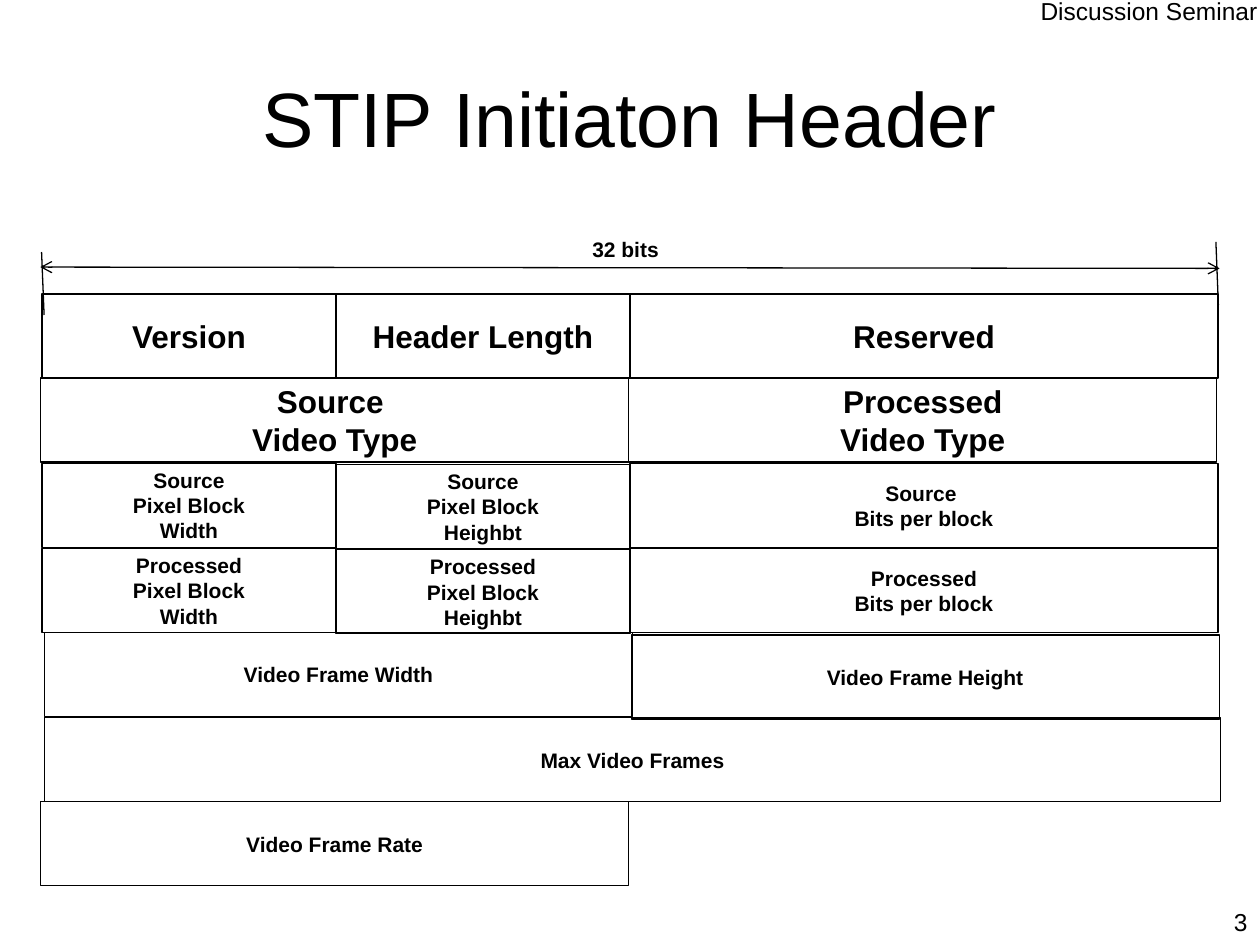
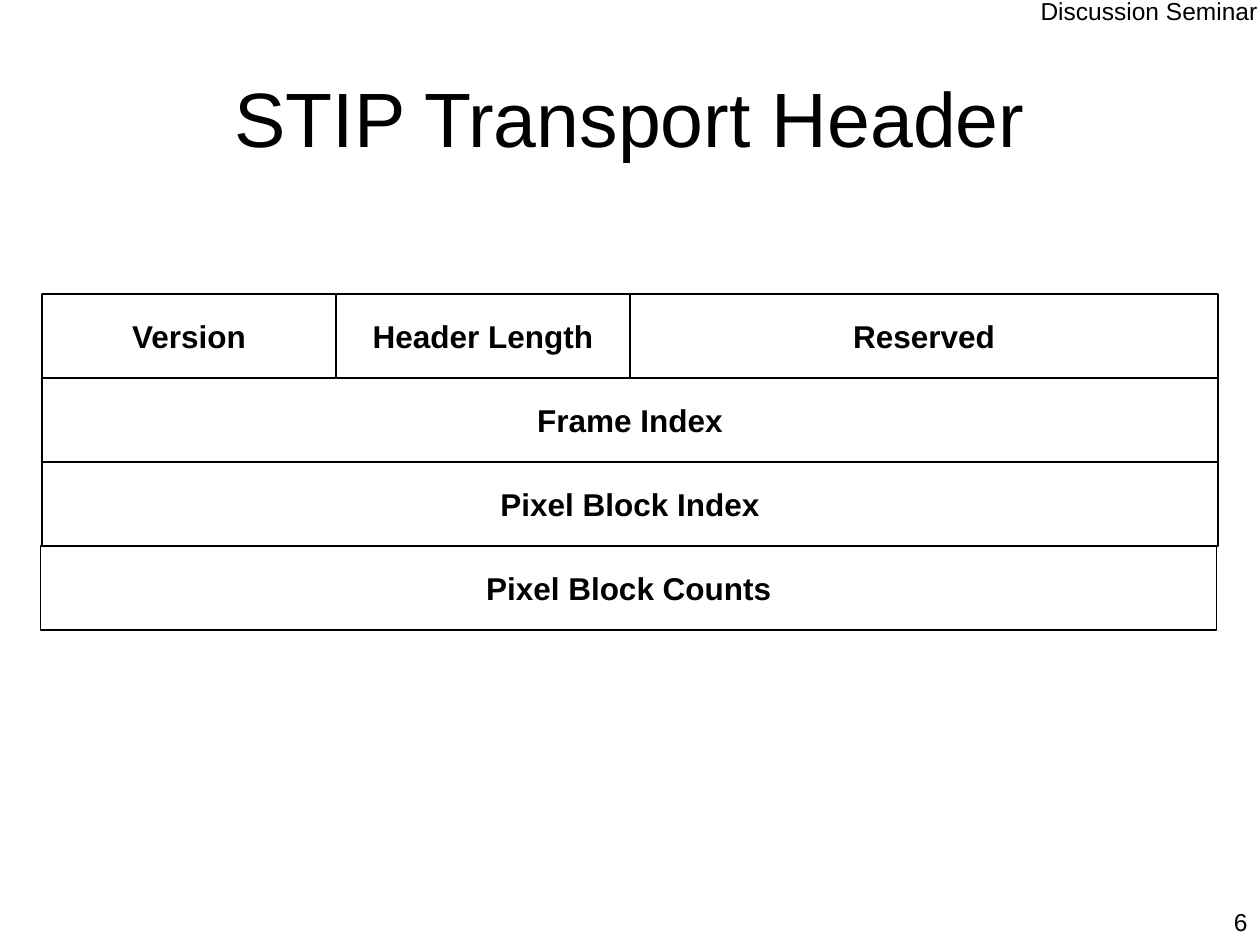
"""Build two slides that chart the STIP packet headers as bit fields."""
from lxml.etree import SubElement
from pptx import Presentation
from pptx.dml.color import RGBColor
from pptx.enum.shapes import MSO_CONNECTOR as Link, MSO_SHAPE as Shape
from pptx.enum.text import MSO_ANCHOR as Anchor, MSO_AUTO_SIZE as Fit, PP_ALIGN as Align
from pptx.oxml.ns import qn
from pptx.util import Inches, Pt

BLACK = RGBColor(0, 0, 0)
WHITE = RGBColor(255, 255, 255)
FONT = "Arial"
STROKE = Pt(0.74)
LEFT, TOP = 1 / 3, 7 / 3
BYTE, ROW = 7 / 3, 2 / 3


class Deck:
    """Hold the shared style and the current slide."""

    def __init__(self):
        self.prs = Presentation()
        self.prs.slide_width, self.prs.slide_height = Inches(10), Inches(7.5)
        self.slide = None

    def style(self, frame, size, align=Align.CENTER, bold=False):
        for para in frame.paragraphs:
            para.alignment = align
            for run in para.runs:
                font = run.font
                font.name, font.size, font.bold = FONT, Pt(size), bold
                font.color.rgb = BLACK

    def page(self, title, number):
        self.slide = self.prs.slides.add_slide(self.prs.slide_layouts[5])
        fill = self.slide.background.fill
        fill.solid()
        fill.fore_color.rgb = WHITE
        self.label("Discussion Seminar", (6.83, -0.08, 3.25, 0.34), 14, Align.RIGHT)
        head = self.slide.shapes.title
        head.left, head.top = Inches(0.5), Inches(0.3)
        head.width, head.height = Inches(9), Inches(1.25)
        head.text_frame.text = title
        head.text_frame.vertical_anchor = Anchor.MIDDLE
        self.style(head.text_frame, 44)
        self.label(str(number), (7.67, 7.15, 2.33, 0.52), 14, Align.RIGHT)

    def label(self, text, box, size, align, bold=False, wrap=True):
        frame = self.slide.shapes.add_textbox(*map(Inches, box)).text_frame
        frame.text = text
        frame.word_wrap = wrap
        frame.auto_size = Fit.NONE
        self.style(frame, size, align, bold)

    def field(self, text, row, col, span, size=18, dx=0, dy=0):
        box = (LEFT + col * BYTE + dx, TOP + row * ROW + dy, span * BYTE, ROW)
        rect = self.slide.shapes.add_shape(Shape.RECTANGLE, *map(Inches, box))
        rect.shadow.inherit = False
        rect.fill.background()
        rect.line.color.rgb, rect.line.width = BLACK, STROKE
        frame = rect.text_frame
        frame.text = text
        frame.word_wrap = False
        frame.vertical_anchor = Anchor.MIDDLE
        self.style(frame, size, bold=True)

    def line(self, start, end, arrows=False):
        rule = self.slide.shapes.add_connector(
            Link.STRAIGHT, *map(Inches, (*start, *end)))
        rule.line.color.rgb, rule.line.width = BLACK, STROKE
        if arrows:
            stroke = rule.line._get_or_add_ln()
            for tip in ("a:headEnd", "a:tailEnd"):
                SubElement(stroke, qn(tip), type="arrow")
        SubElement(rule._element.spPr, qn("a:effectLst"))

    def lead(self):
        self.field("Version", 0, 0, 1)
        self.field("Header Length", 0, 1, 1)
        self.field("Reserved", 0, 2, 2)


def start(deck):
    deck.page("STIP Initiaton Header", 3)
    deck.lead()
    deck.field("Source \nVideo Type", 1, 0, 2, dx=-0.01)
    deck.field("Processed\nVideo Type", 1, 2, 2, dx=-0.01)
    for row, kind, gap, dy in ((2, "Source", " ", 0.01), (3, "Processed", "", 0.02)):
        deck.field(f"{kind}\nPixel Block\nWidth", row, 0, 1, 12, dy=dy)
        deck.field(f"{kind}\nPixel Block\nHeighbt", row, 1, 1, 12, dy=dy + 0.01)
        deck.field(f"{kind}{gap}\nBits per block", row, 2, 2, 12, dy=dy)
    deck.field("Video Frame Width", 4, 0, 2, 12, 0.02, 0.02)
    deck.field("Video Frame Height", 4, 2, 2, 12, 0.01, 0.04)
    deck.field("Video Frame Rate", 6, 0, 2, 12, -0.01, 0.03)
    deck.field("Max Video Frames", 5, 0, 4, 12, 0.02, 0.03)
    deck.line((0.33, 2), (0.35, 2.5))
    deck.line((9.65, 1.92), (9.67, 2.42))
    deck.line((0.32, 2.12), (9.68, 2.13), arrows=True)
    deck.label("32 bits", (4.6, 1.83, 0.73, 0.3), 12, Align.CENTER, True, False)


def move(deck):
    deck.page("STIP Transport Header", 6)
    deck.lead()
    deck.field("Frame Index", 1, 0, 4)
    deck.field("Pixel Block Index", 2, 0, 4)
    deck.field("Pixel Block Counts", 3, 0, 4, dx=-0.01)


deck = Deck()
start(deck)
move(deck)
deck.prs.save("out.pptx")
